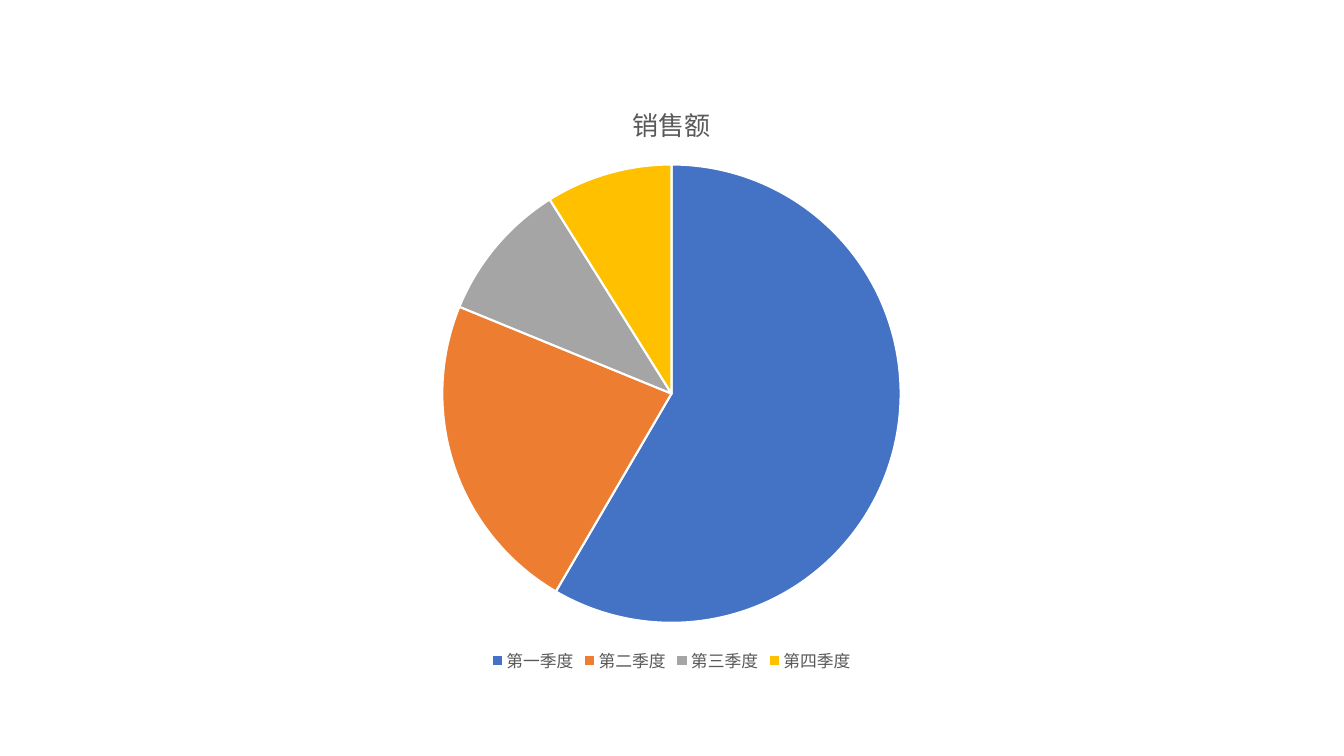
import pptx
import pptx.chart.data
import pptx.dml.color
import pptx.enum.chart
import pptx.oxml
import pptx.oxml.ns
import pptx.util

PX = 9525
FACE = "Noto Sans CJK SC"
GREY = "595959"
SALES = {
    "第一季度": (59, "4472C4"),
    "第二季度": (23, "ED7D31"),
    "第三季度": (10, "A5A5A5"),
    "第四季度": (9, "FFC000"),
}


def px(count):
    """Turn whole pixels into EMU."""
    return pptx.util.Emu(count * PX)


def color(code):
    """Turn a hex string into a colour."""
    return pptx.dml.color.RGBColor.from_string(code)


def style(font, size, code):
    """Set the face, size, weight and colour of a font."""
    form = {"name": FACE, "size": pptx.util.Pt(size), "bold": False}
    for key, value in form.items():
        setattr(font, key, value)
    font.color.rgb = color(code)


def set_asian(chart):
    """Give East Asian text the same face as Latin text."""
    for latin in list(chart._chartSpace.iter(pptx.oxml.ns.qn("a:latin"))):
        asian = pptx.oxml.parse_xml(
            f'<a:ea {pptx.oxml.ns.nsdecls("a")} typeface="{FACE}"/>')
        latin.addnext(asian)


def add_pie(slide, box):
    """Place the sales pie with its title and legend in the box."""
    data = pptx.chart.data.CategoryChartData()
    data.categories = list(SALES)
    data.add_series("销售额", [value for value, _ in SALES.values()])
    kind = pptx.enum.chart.XL_CHART_TYPE.PIE
    chart = slide.shapes.add_chart(kind, *map(px, box), data).chart
    style(chart.font, 10, "000000")

    chart.has_title = True
    title = chart.chart_title
    title.include_in_layout = False
    title.text_frame.text = "销售额"
    style(title.text_frame.paragraphs[0].runs[0].font, 18.6, GREY)

    chart.has_legend = True
    legend = chart.legend
    legend.position = pptx.enum.chart.XL_LEGEND_POSITION.BOTTOM
    legend.include_in_layout = False
    style(legend.font, 12, GREY)

    plot = chart.plots[0]
    plot.vary_by_categories = True
    for spot, (_, code) in enumerate(SALES.values()):
        form = plot.series[0].points[spot].format
        form.fill.solid()
        form.fill.fore_color.rgb = color(code)
        form.line.color.rgb = color("FFFFFF")
        form.line.width = pptx.util.Pt(1.5)
    set_asian(chart)


def main():
    """Build the slide and save it."""
    deck = pptx.Presentation()
    deck.slide_width, deck.slide_height = px(1280), px(720)
    slide = deck.slides.add_slide(deck.slide_layouts[6])
    add_pie(slide, (213, 76, 853, 569))
    deck.save("out.pptx")


if __name__ == "__main__":
    main()
